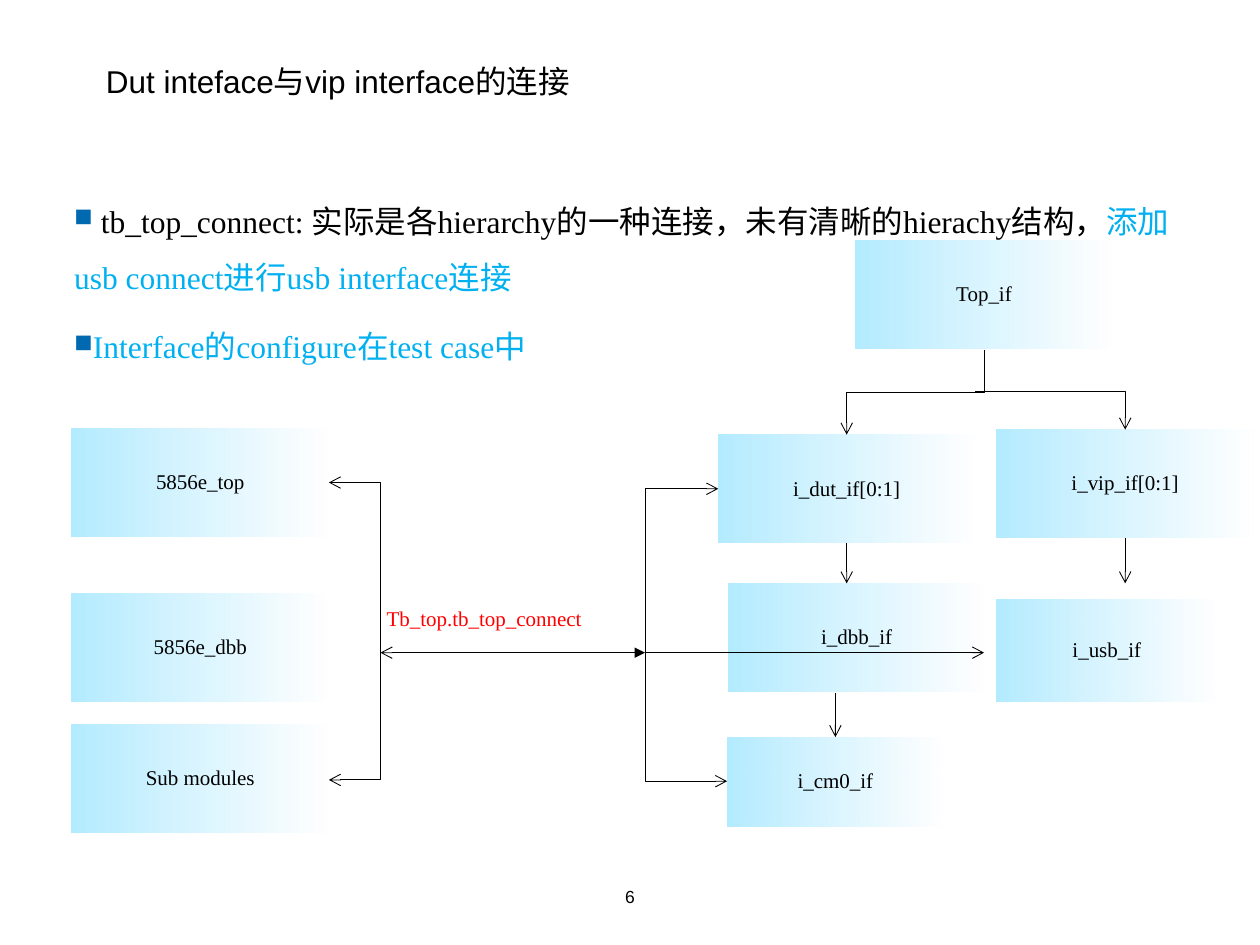
from pptx import Presentation
from pptx.dml.color import RGBColor
from pptx.enum.shapes import MSO_CONNECTOR, MSO_SHAPE
from pptx.enum.text import MSO_ANCHOR, MSO_AUTO_SIZE, PP_ALIGN
from pptx.oxml.ns import qn
from pptx.util import Inches, Pt
from lxml.etree import SubElement

HUES = {"ink": "000000", "sky": "00B0F0", "mark": "0069B0", "red": "FF0000",
        "tint": "97E4FF", "white": "FFFFFF"}
SERIF, SANS = "Times New Roman", "Arial"
WIDE, TALL = 2.04, 0.86


def hue(name):
    return RGBColor.from_string(HUES[name])


def style(run, size, face, color):
    run.font.size = Pt(size)
    run.font.name = face
    run.font.color.rgb = hue(color)


def add_label(slide, box, text, size, face, color):
    label = slide.shapes.add_textbox(*map(Inches, box))
    frame = label.text_frame
    frame.word_wrap = True
    frame.text = text
    style(frame.paragraphs[0].runs[0], size, face, color)
    return frame


def add_title(slide, box, text):
    title = slide.shapes.title
    title.left, title.top, title.width, title.height = map(Inches, box)
    frame = title.text_frame
    frame.text = text
    frame.vertical_anchor = MSO_ANCHOR.TOP
    frame.auto_size = MSO_AUTO_SIZE.NONE
    para = frame.paragraphs[0]
    para.alignment = PP_ALIGN.LEFT
    para.line_spacing = 1.5
    para.space_before = Pt(0)
    style(para.runs[0], 18, SANS, "ink")


def add_points(slide, box, points):
    frame = slide.shapes.add_textbox(*map(Inches, box)).text_frame
    frame.word_wrap = True
    for i, parts in enumerate(points):
        para = frame.add_paragraph() if i else frame.paragraphs[0]
        para.line_spacing = 1.5
        para.space_before = Pt(7 if i else 0)
        props = para._p.get_or_add_pPr()
        props.set("marL", "0")
        props.set("indent", "0")
        SubElement(SubElement(props, qn("a:buClr")), qn("a:srgbClr"), val=HUES["mark"])
        SubElement(props, qn("a:buSzPct"), val="80000")
        SubElement(props, qn("a:buChar"), char="■")
        for text, color in parts:
            run = para.add_run()
            run.text = text
            style(run, 18, SERIF, color)


def add_block(slide, box, text):
    block = slide.shapes.add_shape(MSO_SHAPE.RECTANGLE, *map(Inches, box))
    block.shadow.inherit = False
    block.line.fill.background()
    block.fill.gradient()
    block.fill.gradient_angle = 0
    for stop, name in zip(block.fill.gradient_stops, ("tint", "white")):
        stop.color.rgb = hue(name)
    colors = block._element.spPr.iter(qn("a:srgbClr"))
    for color, alpha in zip(list(colors), ("72000", "66000")):
        SubElement(color, qn("a:alpha"), val=alpha)
    frame = block.text_frame
    frame.word_wrap = False
    frame.vertical_anchor = MSO_ANCHOR.MIDDLE
    frame.margin_left = frame.margin_right = Inches(0.05)
    frame.margin_top = frame.margin_bottom = Inches(0.07)
    frame.text = text
    para = frame.paragraphs[0]
    para.alignment = PP_ALIGN.CENTER
    para.line_spacing = 0.95
    style(para.runs[0], 12, SERIF, "ink")
    return block


def add_arrow(slide, start, end, kind=MSO_CONNECTOR.STRAIGHT, head=None):
    arrow = slide.shapes.add_connector(kind, *map(Inches, start + end))
    arrow.line.color.rgb = hue("ink")
    arrow.line.width = Pt(0.5)
    line = arrow.line._get_or_add_ln()
    if head:
        SubElement(line, qn("a:headEnd"), type=head)
    SubElement(line, qn("a:tailEnd"), type="arrow")
    SubElement(arrow._element.spPr, qn("a:effectLst"))
    return arrow


def set_form(arrow, form):
    arrow._element.spPr.find(qn("a:prstGeom")).set("prst", form)


def add_bend(slide, start, end, form="bentConnector2"):
    """Elbow that leaves its start vertically: a turned and flipped box."""
    (x1, y1), (x2, y2) = start, end
    right, up = x2 > x1, y2 < y1
    wide, tall = abs(y2 - y1), abs(x2 - x1)
    left, top = (x1 + x2 - wide) / 2, (y1 + y2 - tall) / 2
    arrow = add_arrow(slide, (left, top), (left + wide, top + tall), MSO_CONNECTOR.ELBOW)
    set_form(arrow, form)
    frame = arrow._element.spPr.find(qn("a:xfrm"))
    frame.set("rot", str((90 if right == up else 270) * 60000))
    if right:
        frame.set("flipH", "1")
    if up:
        frame.set("flipV", "1")


def add_modules(slide, left, tops, names):
    for top, name in zip(tops, names):
        add_block(slide, (left, top, WIDE, TALL), name)


def add_tree(slide):
    boxes = {
        "Top_if": (6.79, 1.91, WIDE, TALL),
        "i_dut_if[0:1]": (5.7, 3.45, WIDE, TALL),
        "i_vip_if[0:1]": (7.91, 3.41, WIDE, TALL),
        "i_dbb_if": (5.78, 4.63, WIDE, TALL),
        "i_usb_if": (7.91, 4.76, 1.75, 0.81),
        "i_cm0_if": (5.77, 5.85, 1.72, 0.71),
    }
    blocks = {name: add_block(slide, box, name) for name, box in boxes.items()}
    # Branches below the top interface
    add_bend(slide, (7.81, 2.78), (6.72, 3.45), "bentConnector3")
    branch = add_arrow(slide, (7.74, 3.11), (8.93, 3.41), MSO_CONNECTOR.ELBOW)
    set_form(branch, "bentConnector2")
    # Steps down each column
    for name, x, y1, y2 in (("i_vip_if[0:1]", 8.93, 4.28, 4.63),
                            ("i_dut_if[0:1]", 6.72, 4.31, 4.63)):
        add_arrow(slide, (x, y1), (x, y2)).begin_connect(blocks[name], 2)
    add_arrow(slide, (6.63, 5.5), (6.63, 5.85)).end_connect(blocks["i_cm0_if"], 0)


def add_links(slide, west, east):
    add_arrow(slide, east, west, head="triangle")
    add_arrow(slide, east, (7.81, 5.18))
    for hub, ends in ((west, ((2.61, 3.83), (2.61, 6.19))),
                      (east, ((5.7, 3.88), (5.77, 6.2)))):
        for end in ends:
            add_bend(slide, hub, end)
    add_label(slide, (2.97, 4.76, 2.25, 0.3), "Tb_top.tb_top_connect", 12, SERIF, "red")


def add_number(slide, box, text):
    frame = add_label(slide, box, text, 10, SANS, "ink")
    frame.margin_left = frame.margin_right = 0
    frame.vertical_anchor = MSO_ANCHOR.BOTTOM
    frame.paragraphs[0].alignment = PP_ALIGN.CENTER


def main():
    deck = Presentation()
    deck.slide_width, deck.slide_height = Inches(10), Inches(7.5)
    slide = deck.slides.add_slide(deck.slide_layouts[5])
    # Heading and points
    add_title(slide, (0.74, 0.29, 8.77, 0.63), "Dut inteface与vip interface的连接")
    add_points(slide, (0.49, 1.4, 9.02, 5.71), [
        [(" tb_top_connect: 实际是各hierarchy的一种连接，未有清晰的hierachy结构，", "ink"),
         ("添加usb connect进行usb interface连接", "sky")],
        [("Interface的configure在test case中", "sky")],
    ])
    # Diagram
    add_modules(slide, 0.57, (3.4, 4.71, 5.75), ("5856e_top", "5856e_dbb", "Sub modules"))
    add_tree(slide)
    add_links(slide, (3.02, 5.18), (5.12, 5.18))
    # Footer
    add_number(slide, (4.04, 6.86, 1.92, 0.39), "6")
    deck.save("out.pptx")


if __name__ == "__main__":
    main()
